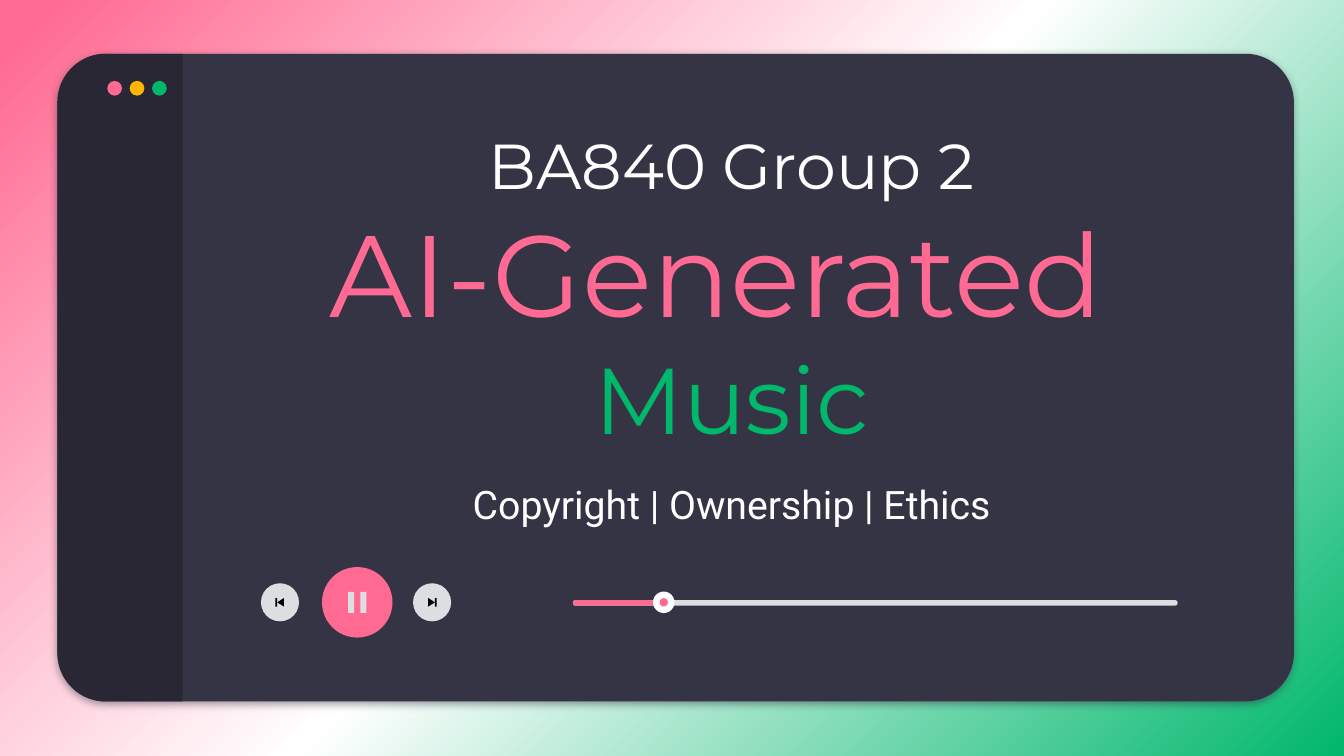
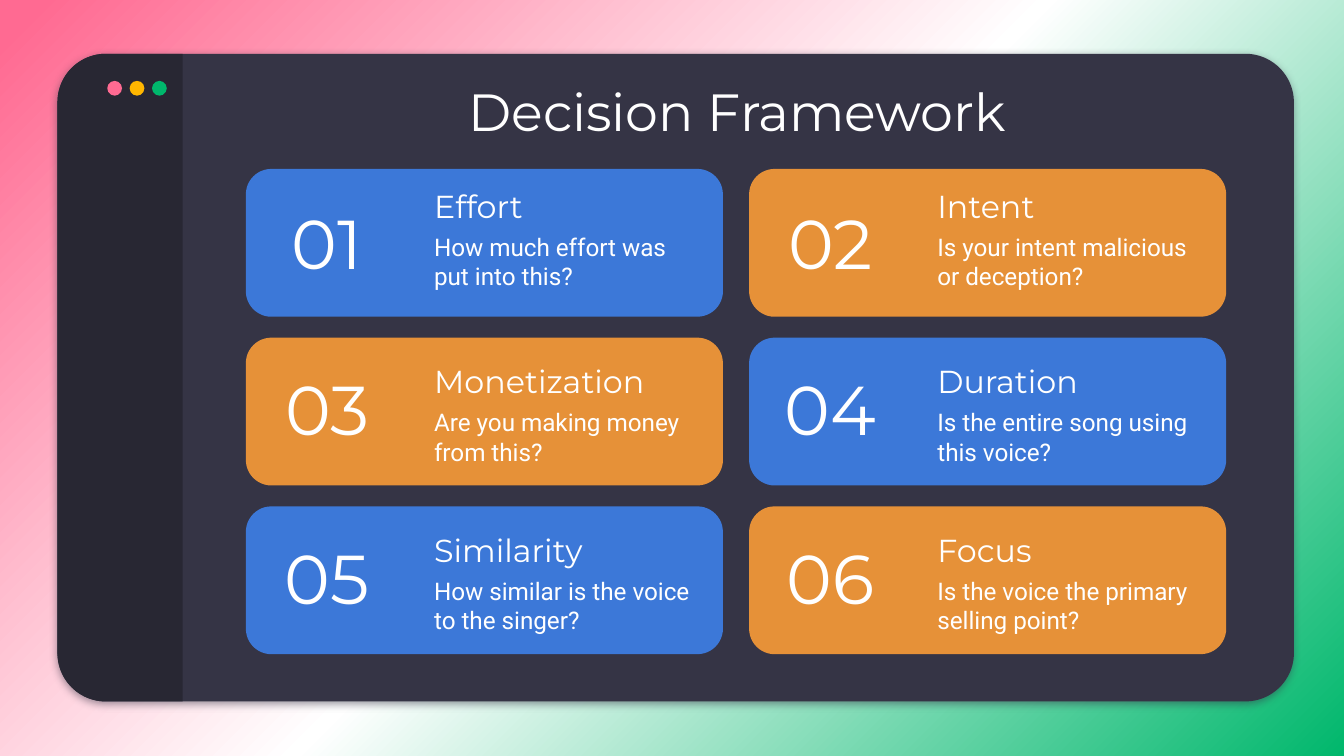
from lxml import etree
from pptx import Presentation
from pptx.dml.color import RGBColor
from pptx.enum.shapes import MSO_SHAPE
from pptx.enum.text import MSO_ANCHOR, MSO_AUTO_SIZE, PP_ALIGN
from pptx.oxml import parse_xml
from pptx.oxml.ns import nsdecls, qn
from pptx.util import Pt

# Enum members
RECT, OVAL = MSO_SHAPE.RECTANGLE, MSO_SHAPE.OVAL
ROUND, ROUND_TOP = MSO_SHAPE.ROUNDED_RECTANGLE, MSO_SHAPE.ROUND_2_SAME_RECTANGLE
TOP, MIDDLE, BOTTOM = MSO_ANCHOR.TOP, MSO_ANCHOR.MIDDLE, MSO_ANCHOR.BOTTOM
LEFT, CENTER = PP_ALIGN.LEFT, PP_ALIGN.CENTER

# Palette and fonts
PINK = RGBColor(0xFF, 0x6A, 0x92)
GREEN = RGBColor(0x00, 0xB7, 0x6C)
YELLOW = RGBColor(0xFF, 0xB6, 0x00)
BLUE = RGBColor(0x3C, 0x78, 0xD8)
ORANGE = RGBColor(0xE6, 0x91, 0x38)
PANEL = RGBColor(0x35, 0x34, 0x45)
SIDEBAR = RGBColor(0x28, 0x27, 0x33)
GREY = RGBColor(0xDC, 0xDE, 0xE2)
WHITE = RGBColor(0xFF, 0xFF, 0xFF)
BLACK = RGBColor(0x00, 0x00, 0x00)
HEAD, BODY = "Montserrat", "Roboto"

BACKGROUND_STOPS = [(0, PINK), (2, PINK), (50, WHITE), (100, GREEN)]
PANEL_BOX = (30.8, 28.8, 662.4, 347)
SIDEBAR_W = 67


def write(tf, text, size=13, font=BODY, color=WHITE, align=LEFT, after=0, first=True):
    """Write one formatted paragraph into a text frame."""
    p = tf.paragraphs[0] if first else tf.add_paragraph()
    p.alignment = align
    p.space_after = Pt(after)
    r = p.add_run()
    r.text = text
    r.font.size, r.font.name = Pt(size), font
    r.font.color.rgb = color


class Deck:
    def __init__(self):
        self.prs = Presentation()
        self.prs.slide_width, self.prs.slide_height = Pt(720), Pt(405)
        self.set_background()

    def set_background(self):
        master = self.prs.slide_master
        fill = master.background.fill
        fill.gradient()
        fill.gradient_angle = 315
        stops = next(master.element.iter(qn("a:gsLst")))
        for gs in list(stops):
            stops.remove(gs)
        for pos, color in BACKGROUND_STOPS:
            gs = etree.SubElement(stops, qn("a:gs"), pos=str(pos * 1000))
            etree.SubElement(gs, qn("a:srgbClr"), val=str(color))

    def new_slide(self):
        """Start a slide with the player window behind its title."""
        self.slide = self.prs.slides.add_slide(self.prs.slide_layouts[5])
        self.shapes = self.slide.shapes
        x, y, w, h = PANEL_BOX
        sp = self.shape(ROUND, x, y, w, h, PANEL, adj=[0.075])
        self.add_shadow(sp)
        # The sidebar is a wide shape turned upright about its centre
        sp = self.shape(ROUND_TOP, x + (SIDEBAR_W - h) / 2, y + (h - SIDEBAR_W) / 2,
                        h, SIDEBAR_W, SIDEBAR, adj=[0.386, 0])
        sp.rotation = 270
        self.start_group()
        for i, color in enumerate((PINK, YELLOW, GREEN)):
            self.circle(61.4 + 12 * i, 47.3, 7.9, color)
        self.end_group()

    def start_group(self):
        self.shapes = self.slide.shapes.add_group_shape().shapes

    def end_group(self):
        self.shapes = self.slide.shapes

    def paint(self, sp, color):
        sp.shadow.inherit = False
        sp.fill.solid()
        sp.fill.fore_color.rgb = color
        sp.line.fill.background()
        return sp

    def add_shadow(self, sp):
        effects = sp.element.spPr.find(qn("a:effectLst"))
        effects.append(parse_xml(
            f'<a:outerShdw {nsdecls("a")} blurRad="{Pt(4.5)}" dist="{Pt(1.5)}" '
            f'dir="5400000" algn="bl" rotWithShape="0"><a:srgbClr val="{PANEL}">'
            '<a:alpha val="50000"/></a:srgbClr></a:outerShdw>'))

    def shape(self, kind, x, y, w, h, color, adj=()):
        sp = self.shapes.add_shape(kind, Pt(x), Pt(y), Pt(w), Pt(h))
        for i, value in enumerate(adj):
            sp.adjustments[i] = value
        return self.paint(sp, color)

    def circle(self, cx, cy, d, color):
        return self.shape(OVAL, cx - d / 2, cy - d / 2, d, d, color)

    def polygon(self, points, color):
        points = [(Pt(x), Pt(y)) for x, y in points]
        builder = self.shapes.build_freeform(*points[0])
        builder.add_line_segments(points[1:], close=True)
        return self.paint(builder.convert_to_shape(), color)

    def frame(self, sp, anchor):
        tf = sp.text_frame
        tf.word_wrap = True
        tf.auto_size = MSO_AUTO_SIZE.NONE
        tf.vertical_anchor = anchor
        tf.margin_left = tf.margin_right = Pt(7.2)
        tf.margin_top = tf.margin_bottom = 0
        return tf

    def title(self, x, y, w, h, anchor=TOP):
        sp = self.slide.shapes.title
        sp.left, sp.top, sp.width, sp.height = Pt(x), Pt(y), Pt(w), Pt(h)
        sp.element.getparent().append(sp.element)  # bring in front of the window
        return self.frame(sp, anchor)

    def text(self, text, x, y, w, h, anchor=TOP, **fmt):
        sp = self.shapes.add_textbox(Pt(x), Pt(y), Pt(w), Pt(h))
        write(self.frame(sp, anchor), text, **fmt)

    def skip_button(self, cx, cy, direction):
        """Draw a skip button; direction is 1 for next and -1 for previous."""
        self.circle(cx, cy, 20.4, GREY)
        base, tip = cx - 2.1 * direction, cx + 1.5 * direction
        self.polygon([(base, cy - 2.3), (base, cy + 2.3), (tip, cy)], BLACK)
        self.shape(RECT, cx + 2 * direction - 0.45, cy - 2.3, 0.9, 4.6, BLACK)


def cover(deck):
    deck.new_slide()
    tf = deck.title(126.7, 71.3, 530.6, 171.4, BOTTOM)
    lines = [("BA840 Group 2", 34, WHITE), ("AI-Generated ", 62, PINK), ("Music", 50, GREEN)]
    for i, (line, size, color) in enumerate(lines):
        write(tf, line, size=size, font=HEAD, color=color, align=CENTER, first=i == 0)
    deck.text("Copyright | Ownership | Ethics", 126.7, 250.6, 530.6, 38.2,
              anchor=MIDDLE, size=21, align=CENTER)

    # Progress bar
    cy, knob_x, track_x = 322.7, 355.6, 306.9
    deck.start_group()
    deck.shape(ROUND, track_x, cy - 1.2, 324, 3, GREY, adj=[0.5])
    deck.shape(ROUND, track_x, cy - 1.2, knob_x - track_x, 3, PINK, adj=[0.5])
    deck.circle(knob_x, cy, 11.5, WHITE)
    deck.circle(knob_x, cy, 4.5, PINK)
    deck.end_group()

    # Player buttons
    pause_x = 191.4
    deck.start_group()
    deck.circle(pause_x, cy, 37.8, PINK)
    for offset in (-3.3, 3.3):
        deck.shape(RECT, pause_x + offset - 1.6, cy - 5.6, 3.2, 11.2, GREY)
    deck.skip_button(231.5, cy, 1)
    deck.skip_button(150, cy, -1)
    deck.end_group()


def framework(deck):
    deck.new_slide()
    write(deck.title(141.8, 42.5, 506.2, 37.4), "Decision Framework",
          size=28, font=HEAD, align=CENTER)

    # Six cards in two columns, colours alternating like a chessboard
    cards = [
        ("Effort", "How much effort was put into this?"),
        ("Intent", "Is your intent malicious or deception?"),
        ("Monetization", "Are you making money from this?"),
        ("Duration", "Is the entire song using this voice?"),
        ("Similarity", "How similar is the voice to the singer?"),
        ("Focus", "Is the voice the primary selling point?"),
    ]
    for i, (label, question) in enumerate(cards):
        row, col = divmod(i, 2)
        x, y = 131.7 + 269.6 * col, 90.5 + 90.4 * row
        # The text of the top row sits closer together
        label_y, number_y = (y + 9.5, y + 21) if row == 0 else (y + 13, y + 19.5)
        deck.shape(ROUND, x, y, 255.6, 79.2, ORANGE if (row + col) % 2 else BLUE, adj=[0.173])
        deck.text(f"{i + 1:02}", x + 5.8, number_y, 75.6, 40.3, anchor=BOTTOM,
                  size=37, font=HEAD, align=CENTER)
        deck.text(label, x + 93.8, label_y, 156.2, 33.1, size=17, font=HEAD, after=12)
        deck.text(question, x + 93.8, label_y + 24.5, 156.2, 60.5, after=12)


def main():
    deck = Deck()
    cover(deck)
    framework(deck)
    deck.prs.save("out.pptx")


if __name__ == "__main__":
    main()
